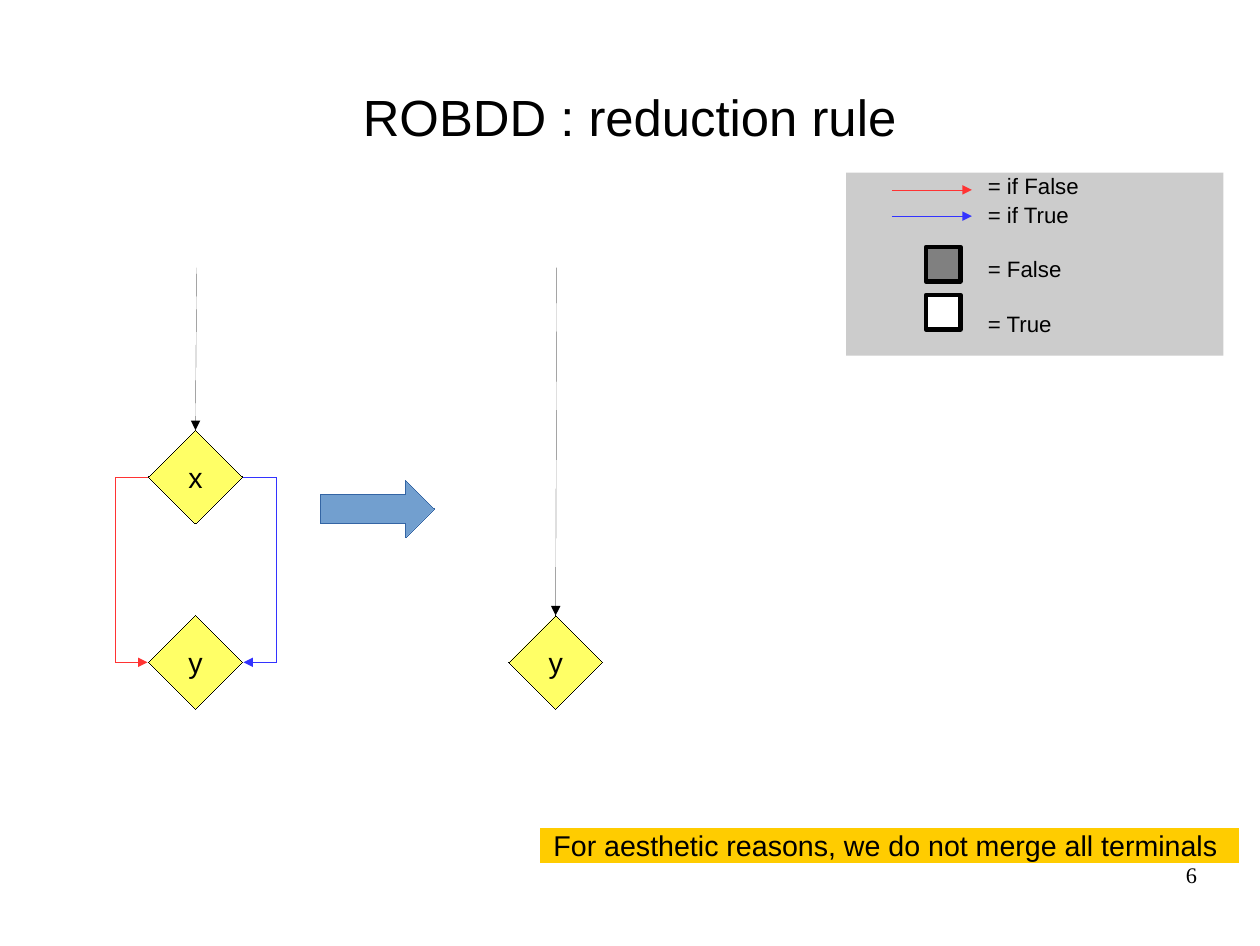
from pptx import Presentation
from pptx.dml.color import RGBColor
from pptx.enum.shapes import MSO_CONNECTOR, MSO_SHAPE
from pptx.enum.text import MSO_ANCHOR, PP_ALIGN
from pptx.oxml.ns import qn
from pptx.util import Inches, Pt
from lxml import etree

RECT, DIAMOND, ARROW = MSO_SHAPE.RECTANGLE, MSO_SHAPE.DIAMOND, MSO_SHAPE.RIGHT_ARROW
STRAIGHT, ELBOW = MSO_CONNECTOR.STRAIGHT, MSO_CONNECTOR.ELBOW
TOP, MIDDLE = MSO_ANCHOR.TOP, MSO_ANCHOR.MIDDLE
LEFT, CENTER, RIGHT = PP_ALIGN.LEFT, PP_ALIGN.CENTER, PP_ALIGN.RIGHT


class Theme:
    sans, serif = "Arial", "Times New Roman"
    title, body, small = 32, 18, 14
    black, white, gray, panel = "000000", "FFFFFF", "808080", "CCCCCC"
    red, blue = "FF3333", "3333FF"
    node, banner, arrow, edge = "FFFF66", "FFCC00", "729FCF", "3465A4"


class Board:
    def __init__(self, slide, theme):
        self.slide, self.theme = slide, theme

    def stroke(self, item, color, width=0):
        item.line.color.rgb = RGBColor.from_string(color)
        line = item._element.spPr.get_or_add_ln()
        line.set("w", str(Pt(width)))
        return line

    def label(self, shape, lines, size, align=CENTER, anchor=MIDDLE,
              font=None, inset=(0, 0), wrap=False, gaps=(0,)):
        frame = shape.text_frame
        frame.word_wrap = wrap
        frame.vertical_anchor = anchor
        frame.margin_left = frame.margin_right = Inches(inset[0])
        frame.margin_top = frame.margin_bottom = Inches(inset[1])
        frame.text = "\n".join(lines)
        for para, gap in zip(frame.paragraphs, gaps):
            para.alignment = align
            para.space_before = Pt(gap)
            para.font.name = font or self.theme.sans
            para.font.size = Pt(size)
            para.font.color.rgb = RGBColor.from_string(self.theme.black)

    def shape(self, kind, box, fill, line=None, width=0):
        item = self.slide.shapes.add_shape(kind, *map(Inches, box))
        item.shadow.inherit = False
        item.fill.solid()
        item.fill.fore_color.rgb = RGBColor.from_string(fill)
        if line:
            self.stroke(item, line, width)
        else:
            item.line.fill.background()
        return item

    def text(self, box, line, size, **style):
        item = self.slide.shapes.add_textbox(*map(Inches, box))
        self.label(item, [line], size, wrap=True, **style)

    def node(self, x, y, name):
        item = self.shape(DIAMOND, (x, y, 0.82, 0.82), self.theme.node, self.theme.black)
        self.label(item, [name], self.theme.body, inset=(0.1, 0.05))
        return item

    def link(self, start, end, color, kind=STRAIGHT):
        item = self.slide.shapes.add_connector(kind, *map(Inches, start + end))
        etree.SubElement(self.stroke(item, color), qn("a:tailEnd"), type="triangle")
        etree.SubElement(item._element.spPr, qn("a:effectLst"))
        return item

    def bend(self, x, y, end, side, color):
        # Ends almost share one x, so the bend is a multiple of the tiny width
        step, reach = 0.01, 0.3
        item = self.link((x, y), (x + side * step, end), color, ELBOW)
        guides = item._element.spPr.find(qn("a:prstGeom")).get_or_add_avLst()
        etree.SubElement(guides, qn("a:gd"), name="adj1",
                         fmla=f"val {round(reach / step * 100000)}")


def main():
    deck = Presentation()
    deck.slide_width, deck.slide_height = Inches(11.02), Inches(8.27)
    theme = Theme()
    board = Board(deck.slides.add_slide(deck.slide_layouts[6]), theme)

    # Title
    board.text((0.55, 0.33, 9.92, 1.38), "ROBDD : reduction rule", theme.title)

    # Diagram before and after the reduction
    board.bend(2.12, 4.17, 5.79, 1, theme.blue)
    board.bend(1.3, 4.17, 5.79, -1, theme.red)
    top = board.node(1.3, 3.76, "x")
    board.node(1.3, 5.38, "y")
    after = board.node(4.45, 5.38, "y")
    for x, node in ((1.72, top), (4.87, after)):
        board.link((x, 2.34), (x, 3), theme.black).end_connect(node, 0)
    board.shape(ARROW, (2.8, 4.2, 1, 0.5), theme.arrow, theme.edge)

    # Legend
    panel = board.shape(RECT, (7.4, 1.51, 3.3, 1.6), theme.panel)
    board.label(panel, ["= if False", "= if True", "= False", "= True"], theme.small,
                align=LEFT, anchor=TOP, inset=(1.24, 0), gaps=(0, 1, 17.5, 17.5))
    for y, color in ((1.66, theme.red), (1.89, theme.blue)):
        board.link((7.8, y), (8.5, y), color)
    for y, fill in ((2.16, theme.gray), (2.58, theme.white)):
        board.shape(RECT, (8.1, y, 0.3, 0.3), fill, theme.black, 3)

    # Remark and page number
    remark = board.shape(RECT, (4.73, 7.24, 6.1, 0.3), theme.banner, theme.banner)
    board.label(remark, ["For aesthetic reasons, we do not merge all terminals "],
                theme.body, inset=(0.1, 0.05))
    board.text((7.9, 7.53, 2.57, 0.57), "6", theme.small,
               align=RIGHT, anchor=TOP, font=theme.serif)

    deck.save("out.pptx")


if __name__ == "__main__":
    main()
